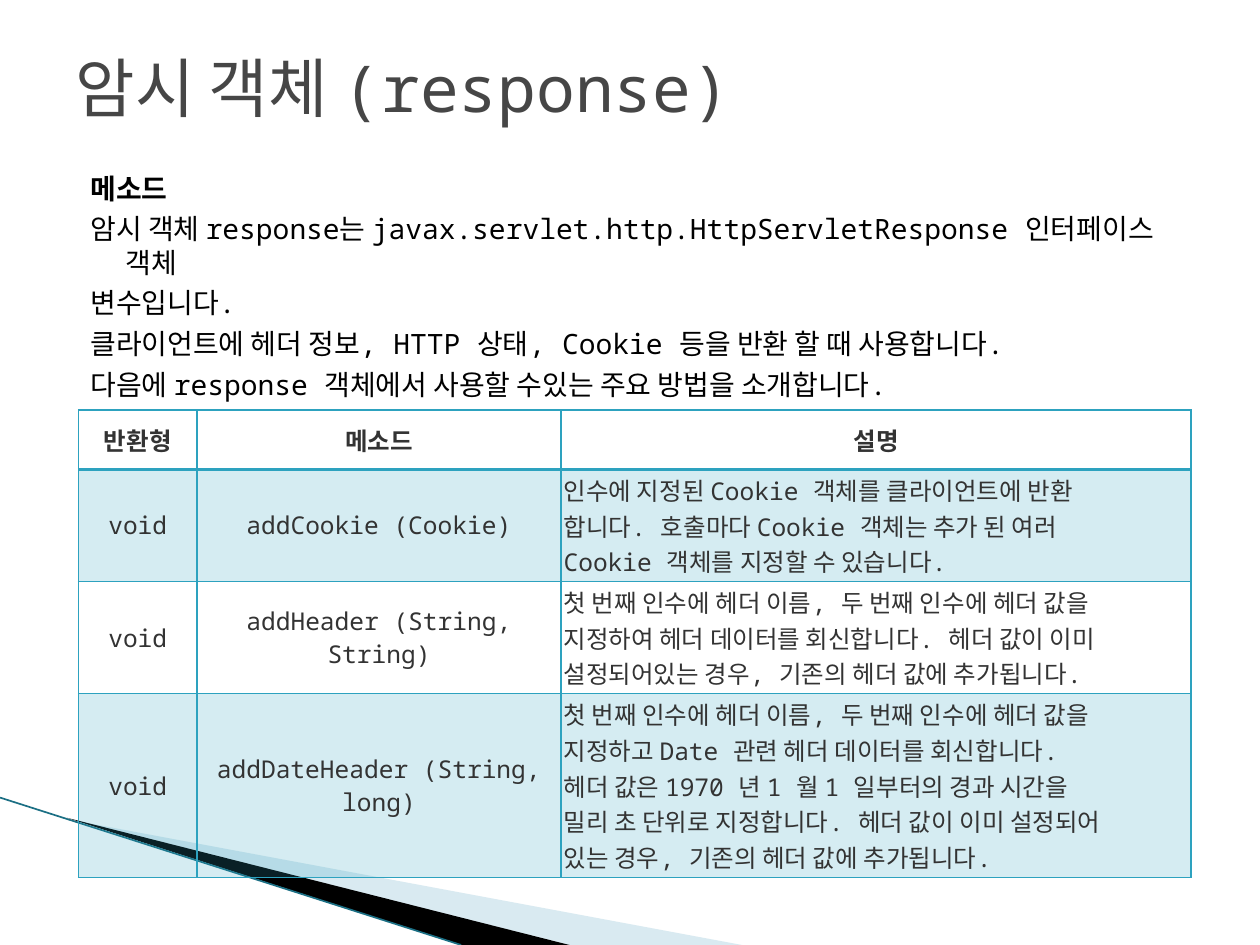
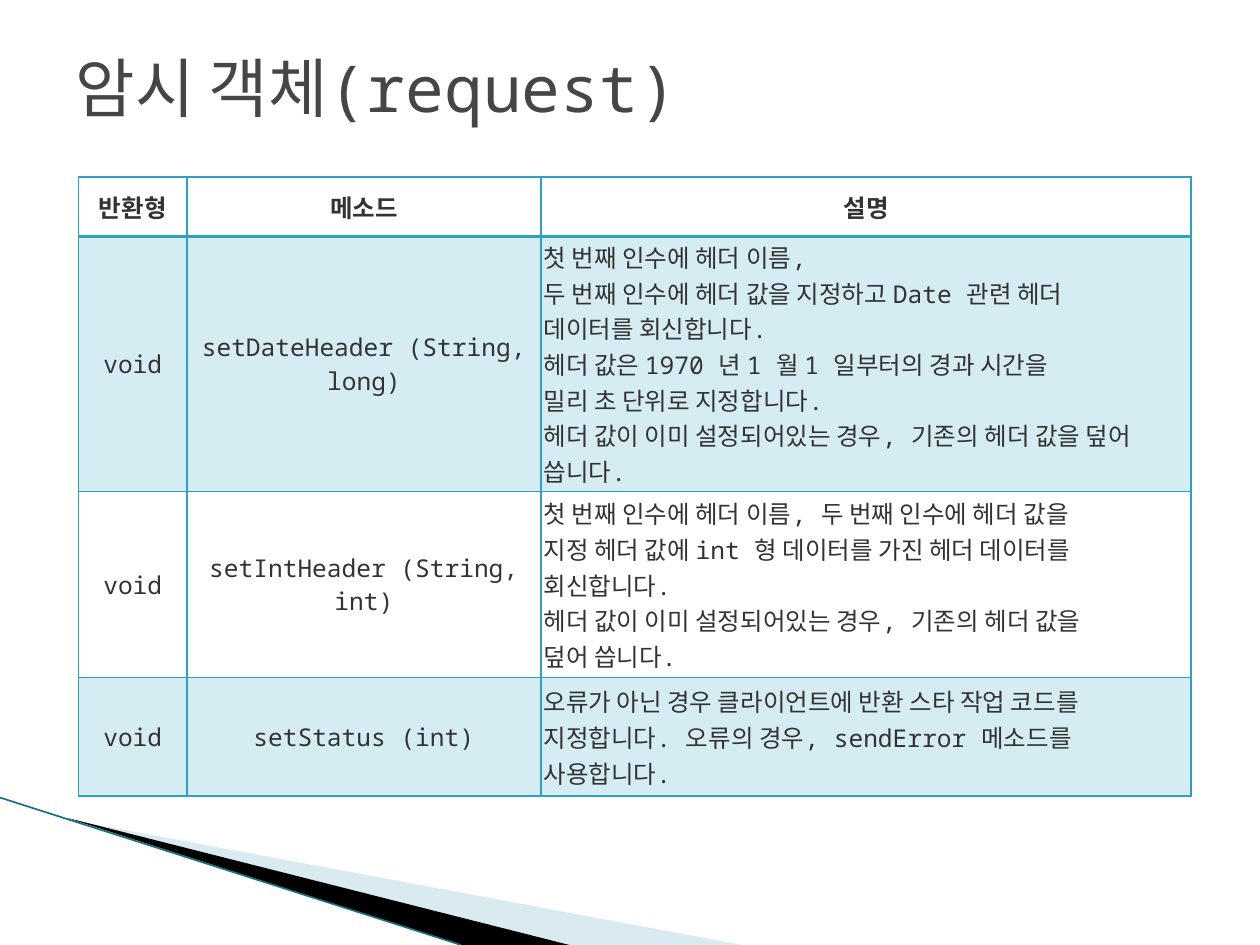
from dataclasses import dataclass

from lxml.etree import SubElement
from pptx import Presentation
from pptx.dml.color import RGBColor as RGB
from pptx.enum.shapes import MSO_CONNECTOR as Connector
from pptx.enum.text import MSO_ANCHOR as Anchor, MSO_AUTO_SIZE as AutoSize, PP_ALIGN as Align
from pptx.oxml import parse_xml
from pptx.oxml.ns import nsdecls, qn
from pptx.util import Emu, Inches, Pt

COLUMNS, ROWS = 100, 75  # grid of the slide


@dataclass(frozen=True)
class Theme:
    """Colours, font and type sizes of the deck."""
    font: str = "Noto Sans Mono"
    title: str = "464646"
    body: str = "000000"
    cell: str = "333333"
    accent: str = "2DA2BF"
    wedge: str = "A0CBDC"
    dark_wedge: str = "000000"
    edge: str = "1B6F84"
    title_pt: float = 36.9
    body_pt: float = 16
    cell_pt: float = 14
    band_alpha: int = 20
    wedge_alpha: int = 40


class Deck:
    """Holds the style and the slide being filled."""

    def __init__(self, theme):
        """Start an empty 4:3 deck."""
        self.t = theme
        self.prs = Presentation()
        self.prs.slide_width, self.prs.slide_height = Inches(10), Inches(7.5)
        self.s = None

    def x(self, columns):
        """Turn grid columns into a length."""
        return Emu(round(self.prs.slide_width * columns / COLUMNS))

    def y(self, rows):
        """Turn grid rows into a length."""
        return Emu(round(self.prs.slide_height * rows / ROWS))

    def box(self, left, top, width, height):
        """Turn a grid box into four lengths."""
        return self.x(left), self.y(top), self.x(width), self.y(height)

    def run(self, p, text, size, color, bold=False):
        """Add one styled run to a paragraph."""
        r = p.add_run()
        r.text = text
        r.font.name, r.font.size, r.font.bold = self.t.font, Pt(size), bold
        r.font.color.rgb = RGB.from_string(color)

    def paragraphs(self, tf, lines):
        """Yield a paragraph with each line of text."""
        for i, line in enumerate(lines):
            yield (tf.add_paragraph() if i else tf.paragraphs[0]), line

    def fill(self, fill, color, alpha=100):
        """Apply a solid fill with an opacity in percent."""
        fill.solid()
        fill.fore_color.rgb = RGB.from_string(color)
        if alpha < 100:
            clr = fill._xPr.find(qn("a:solidFill"))[0]
            SubElement(clr, qn("a:alpha"), val=str(alpha * 1000))

    def slide(self, title):
        """Add a slide with its corner wedges and title."""
        self.s = self.prs.slides.add_slide(self.prs.slide_layouts[5])
        self.wedge([(5.5, 65.05), (58.9, 75), (45.2, 75)], self.t.wedge, self.t.wedge_alpha)
        self.wedge([(5.3, 64.9), (45.2, 75), (36.6, 75)], self.t.dark_wedge)
        self.line((0, 63.3), (36.6, 75), self.t.edge, 0.95)
        sp = self.s.shapes.title
        sp.left, sp.top, sp.width, sp.height = self.box(5, 3, 90, 7.7)
        tf = sp.text_frame
        tf.auto_size, tf.vertical_anchor = AutoSize.NONE, Anchor.MIDDLE
        tf.paragraphs[0].alignment = Align.LEFT
        self.run(tf.paragraphs[0], title, self.t.title_pt, self.t.title)

    def wedge(self, points, color, alpha=100):
        """Draw a filled polygon through grid points."""
        start, *rest = [(self.x(c), self.y(r)) for c, r in points]
        fb = self.s.shapes.build_freeform(*start)
        fb.add_line_segments(rest, close=True)
        sp = fb.convert_to_shape()
        sp.shadow.inherit = False
        sp.line.fill.background()
        self.fill(sp.fill, color, alpha)

    def line(self, start, end, color, width):
        """Draw a straight line between grid points."""
        (x1, y1), (x2, y2) = start, end
        cxn = self.s.shapes.add_connector(
            Connector.STRAIGHT, self.x(x1), self.y(y1), self.x(x2), self.y(y2))
        cxn.line.color.rgb = RGB.from_string(color)
        cxn.line.width = Pt(width)
        SubElement(cxn._element.spPr, qn("a:effectLst"))

    def body(self, heading, lines):
        """Add text with hanging indents under a bold heading."""
        tf = self.s.shapes.add_textbox(*self.box(5, 13.1, 90, 58.3)).text_frame
        tf.word_wrap = True
        tf.margin_right = self.x(2.5)
        for p, line in self.paragraphs(tf, [heading, *lines]):
            p.space_before = Pt(4)
            pPr = p._p.get_or_add_pPr()
            pPr.set("marL", str(self.x(4)))
            pPr.set("indent", str(-self.x(2.8)))
            self.run(p, line, self.t.body_pt, self.t.body, line is heading)

    def table(self, top, widths, heights, records):
        """Add a banded method table under the shared header."""
        data = [("반환형", "메소드", "설명"), *records]
        frame = self.s.shapes.add_table(
            len(data), len(widths), *self.box(6.24, top, sum(widths), sum(heights)))
        tbl = frame.table
        tbl.first_row = tbl.horz_banding = False
        for column, width in zip(tbl.columns, widths):
            column.width = self.x(width)
        for row, height in zip(tbl.rows, heights):
            row.height = self.y(height)
        for i, record in enumerate(data):
            for j, content in enumerate(record):
                self.cell(tbl.cell(i, j), content, i)

    def cell(self, cell, content, row):
        """Fill one cell: a string is centred, a list gives left-aligned lines."""
        centred = isinstance(content, str)
        cell.vertical_anchor = Anchor.MIDDLE
        cell.margin_left = cell.margin_right = self.x(0.2)
        cell.margin_top = cell.margin_bottom = self.y(0.2)
        for p, line in self.paragraphs(cell.text_frame, [content] if centred else content):
            p.alignment = Align.CENTER if centred else Align.LEFT
            self.run(p, line, self.t.cell_pt, self.t.cell, row == 0)
        if row % 2:
            self.fill(cell.fill, self.t.accent, self.t.band_alpha)
        else:
            cell.fill.background()
        widths = {"L": 1, "R": 1, "T": 2 if row == 1 else 1, "B": 2 if row == 0 else 1}
        tcPr = cell._tc.get_or_add_tcPr()
        for i, (side, width) in enumerate(widths.items()):
            tcPr.insert(i, parse_xml(
                f'<a:ln{side} {nsdecls("a")} w="{Pt(width)}"><a:solidFill>'
                f'<a:srgbClr val="{self.t.accent}"/></a:solidFill></a:ln{side}>'))


def response_slide(deck):
    """Introduce the response object and its add methods."""
    deck.slide("암시 객체 (response)")
    deck.body("메소드", [
        "암시 객체 response는 javax.servlet.http.HttpServletResponse 인터페이스 객체",
        "변수입니다.",
        "클라이언트에 헤더 정보, HTTP 상태, Cookie 등을 반환 할 때 사용합니다.",
        "다음에 response 객체에서 사용할 수있는 주요 방법을 소개합니다.",
    ])
    deck.table(32.55, [9.4, 28.9, 50], [4.7, 8.9, 8.9, 14.6], [
        ("void", "addCookie (Cookie)", [
            "인수에 지정된 Cookie 객체를 클라이언트에 반환",
            "합니다.\u00a0호출마다 Cookie 객체는 추가 된 여러",
            "Cookie 객체를 지정할 수 있습니다."]),
        ("void", "addHeader (String, String)", [
            "첫 번째 인수에 헤더 이름, 두 번째 인수에 헤더 값을",
            "지정하여 헤더 데이터를 회신합니다.\u00a0헤더 값이 이미",
            "설정되어있는 경우, 기존의 헤더 값에 추가됩니다."]),
        ("void", "addDateHeader (String, long)", [
            "첫 번째 인수에 헤더 이름, 두 번째 인수에 헤더 값을",
            "지정하고 Date 관련 헤더 데이터를 회신합니다.",
            "헤더 값은 1970 년 1 월 1 일부터의 경과 시간을",
            "밀리 초 단위로 지정합니다.\u00a0헤더 값이 이미 설정되어",
            "있는 경우, 기존의 헤더 값에 추가됩니다."]),
    ])


def request_slide(deck):
    """List the set methods."""
    deck.slide("암시 객체(request)")
    deck.table(14.05, [8.6, 28.1, 51.6], [4.7, 19.5, 14.8, 9.4], [
        ("void", "setDateHeader (String, long)", [
            "첫 번째 인수에 헤더 이름,",
            "두 번째 인수에 헤더 값을 지정하고 Date 관련 헤더",
            "데이터를 회신합니다.",
            "헤더 값은 1970 년 1 월 1 일부터의 경과 시간을",
            "밀리 초 단위로 지정합니다.",
            "헤더 값이 이미 설정되어있는 경우, 기존의 헤더 값을 덮어 씁니다."]),
        ("void", "setIntHeader (String, int)", [
            "첫 번째 인수에 헤더 이름, 두 번째 인수에 헤더 값을",
            "지정 헤더 값에 int 형 데이터를 가진 헤더 데이터를",
            "회신합니다.",
            "헤더 값이 이미 설정되어있는 경우, 기존의 헤더 값을",
            "덮어 씁니다."]),
        ("void", "setStatus (int)", [
            "오류가 아닌 경우 클라이언트에 반환 스타 작업 코드를",
            "지정합니다.\u00a0오류의 경우, sendError 메소드를 사용합니다."]),
    ])


deck = Deck(Theme())
response_slide(deck)
request_slide(deck)
deck.prs.save("out.pptx")
